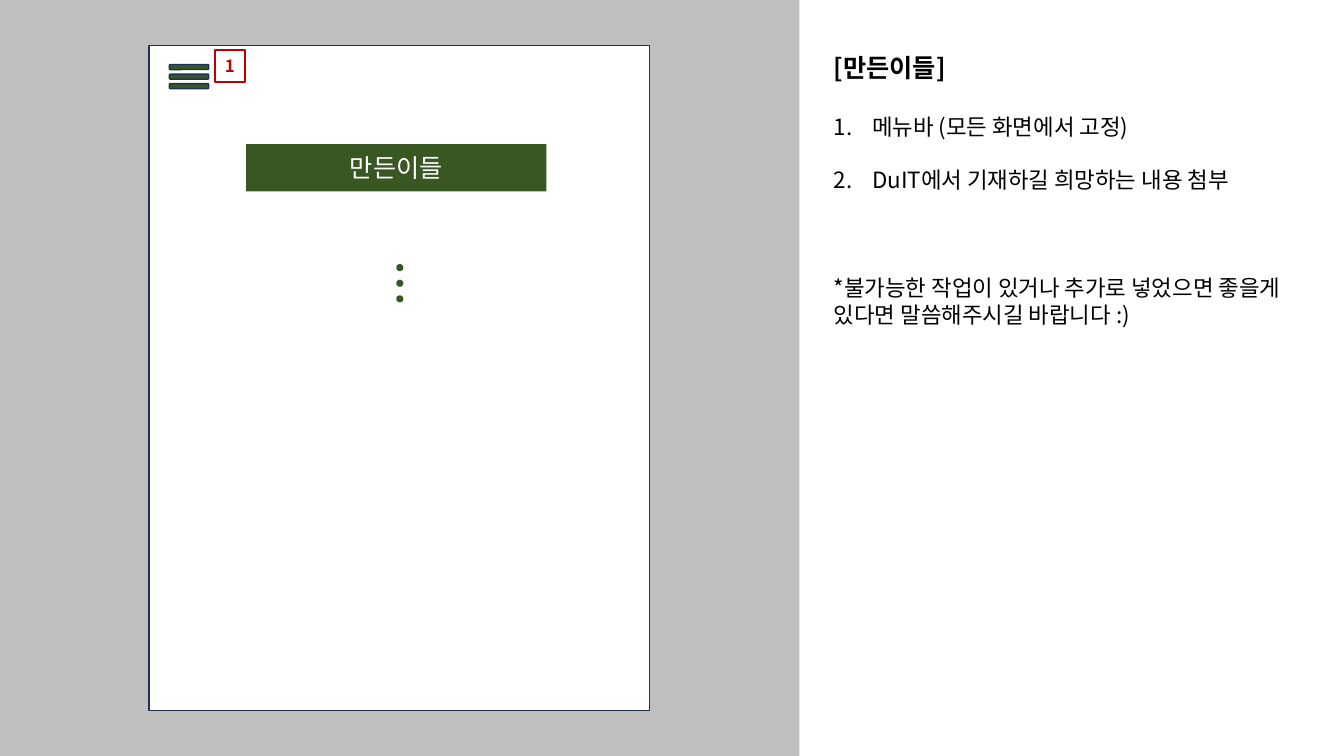
"""Builds the credits screen wireframe with its annotation panel."""
from dataclasses import dataclass
from typing import Optional

from lxml.etree import SubElement
from pptx import Presentation
from pptx.dml.color import RGBColor
from pptx.enum.shapes import MSO_SHAPE as Preset
from pptx.enum.text import MSO_ANCHOR as Anchor, MSO_AUTO_SIZE as AutoSize, PP_ALIGN as Align
from pptx.oxml.ns import qn
from pptx.util import Inches, Pt

GRAY = RGBColor(0xBF, 0xBF, 0xBF)
WHITE = RGBColor(0xFF, 0xFF, 0xFF)
BLACK = RGBColor(0, 0, 0)
GREEN = RGBColor(0x38, 0x57, 0x23)
NAVY = RGBColor(0x1E, 0x32, 0x56)
RED = RGBColor(0xC0, 0, 0)
SANS_KR = "Noto Sans CJK KR"
SANS_SC = "Noto Sans CJK SC"


@dataclass(frozen=True)
class Box:
    left: float
    top: float
    width: float
    height: float
    fill: Optional[RGBColor] = None
    line: Optional[RGBColor] = None
    weight: float = 1
    preset: Preset = Preset.RECTANGLE


@dataclass(frozen=True)
class Note:
    text: str
    gap: float
    numbered: bool = False


def draw(shapes, box: Box):
    shape = shapes.add_shape(box.preset, *map(Inches, (box.left, box.top, box.width, box.height)))
    shape.shadow.inherit = False
    if box.fill is None:
        shape.fill.background()
    else:
        shape.fill.solid()
        shape.fill.fore_color.rgb = box.fill
    if box.line is None:
        shape.line.fill.background()
    else:
        shape.line.color.rgb = box.line
        shape.line.width = Pt(box.weight)
    return shape


def write(paragraph, text: str, face: str, size: float, color: RGBColor, bold: bool = False) -> None:
    run = paragraph.add_run()
    run.text = text
    for name, value in {"name": face, "size": Pt(size), "bold": bold}.items():
        setattr(run.font, name, value)
    run.font.color.rgb = color
    SubElement(run.font._element, qn("a:ea"), typeface=face)


def label(shape, text: str, face: str, size: float, color: RGBColor, bold: bool = False) -> None:
    frame = shape.text_frame
    frame_format = {"margin_left": 0, "margin_right": 0, "margin_top": 0, "margin_bottom": 0,
                    "vertical_anchor": Anchor.MIDDLE, "word_wrap": True}
    for name, value in frame_format.items():
        setattr(frame, name, value)
    frame.paragraphs[0].alignment = Align.CENTER
    write(frame.paragraphs[0], text, face, size, color, bold)


def place(placeholder, top: float, height: float):
    place_format = {"left": Inches(8.17), "top": Inches(top),
                    "width": Inches(4.93), "height": Inches(height)}
    for name, value in place_format.items():
        setattr(placeholder, name, value)
    frame = placeholder.text_frame
    frame_format = {"margin_left": Inches(0.1), "margin_right": Inches(0.1),
                    "margin_top": 0, "margin_bottom": 0, "word_wrap": True,
                    "vertical_anchor": Anchor.TOP, "auto_size": AutoSize.NONE}
    for name, value in frame_format.items():
        setattr(frame, name, value)
    return frame


def set_paragraph(paragraph, pitch: float, gap: float, numbered: bool) -> None:
    paragraph_format = {"alignment": Align.LEFT, "line_spacing": Pt(pitch),
                        "space_before": Pt(gap), "space_after": Pt(0)}
    for name, value in paragraph_format.items():
        setattr(paragraph, name, value)
    properties = paragraph._p.get_or_add_pPr()
    indent = Inches(0.38) if numbered else 0
    properties.set("marL", str(indent))
    properties.set("indent", str(-indent))
    if numbered:
        SubElement(properties, qn("a:buFont"), typeface=SANS_SC)
        SubElement(properties, qn("a:buAutoNum"), type="arabicPeriod")
    else:
        SubElement(properties, qn("a:buNone"))


NOTES = [
    Note("메뉴바 (모든 화면에서 고정)", 0, True),
    Note("DuIT에서 기재하길 희망하는 내용 첨부", 18.6, True),
    Note("*불가능한 작업이 있거나 추가로 넣었으면 좋을게 있다면 말씀해주시길 바랍니다 :)", 58),
]


def main() -> None:
    deck = Presentation()
    deck.slide_width, deck.slide_height = Inches(13.33), Inches(7.5)
    slide = deck.slides.add_slide(deck.slide_layouts[1])
    shapes = slide.shapes

    draw(shapes, Box(0, 0, 7.93, 7.5, GRAY))
    draw(shapes, Box(1.48, 0.45, 4.96, 6.6, WHITE, NAVY))
    for bar in range(3):
        draw(shapes, Box(1.68, 0.64 + 0.095 * bar, 0.39, 0.05, GREEN, NAVY,
                         preset=Preset.FLOWCHART_ALTERNATE_PROCESS))
    more_dots = shapes.add_group_shape()
    for dot in range(3):
        draw(more_dots.shapes, Box(3.94, 2.63 + 0.155 * dot, 0.05, 0.05, GREEN, GREEN, 1.5,
                                   Preset.OVAL))

    heading = place(shapes.title, 0.51, 0.4).paragraphs[0]
    set_paragraph(heading, 22, 0, False)
    write(heading, "[만든이들]", SANS_SC, 18, BLACK, True)

    notes = place(slide.placeholders[1], 1.12, 2.49)
    for index, note in enumerate(NOTES):
        paragraph = notes.add_paragraph() if index else notes.paragraphs[0]
        set_paragraph(paragraph, 19.3, note.gap, note.numbered)
        write(paragraph, note.text, SANS_SC, 16, BLACK)

    menu_badge = draw(shapes, Box(2.13, 0.5, 0.3, 0.31, None, RED, 1.5))
    label(menu_badge, "1", SANS_SC, 12, RED, True)
    credits_banner = draw(shapes, Box(2.44, 1.43, 2.98, 0.47, GREEN))
    label(credits_banner, "만든이들", SANS_KR, 18, WHITE)

    deck.save("out.pptx")


if __name__ == "__main__":
    main()
